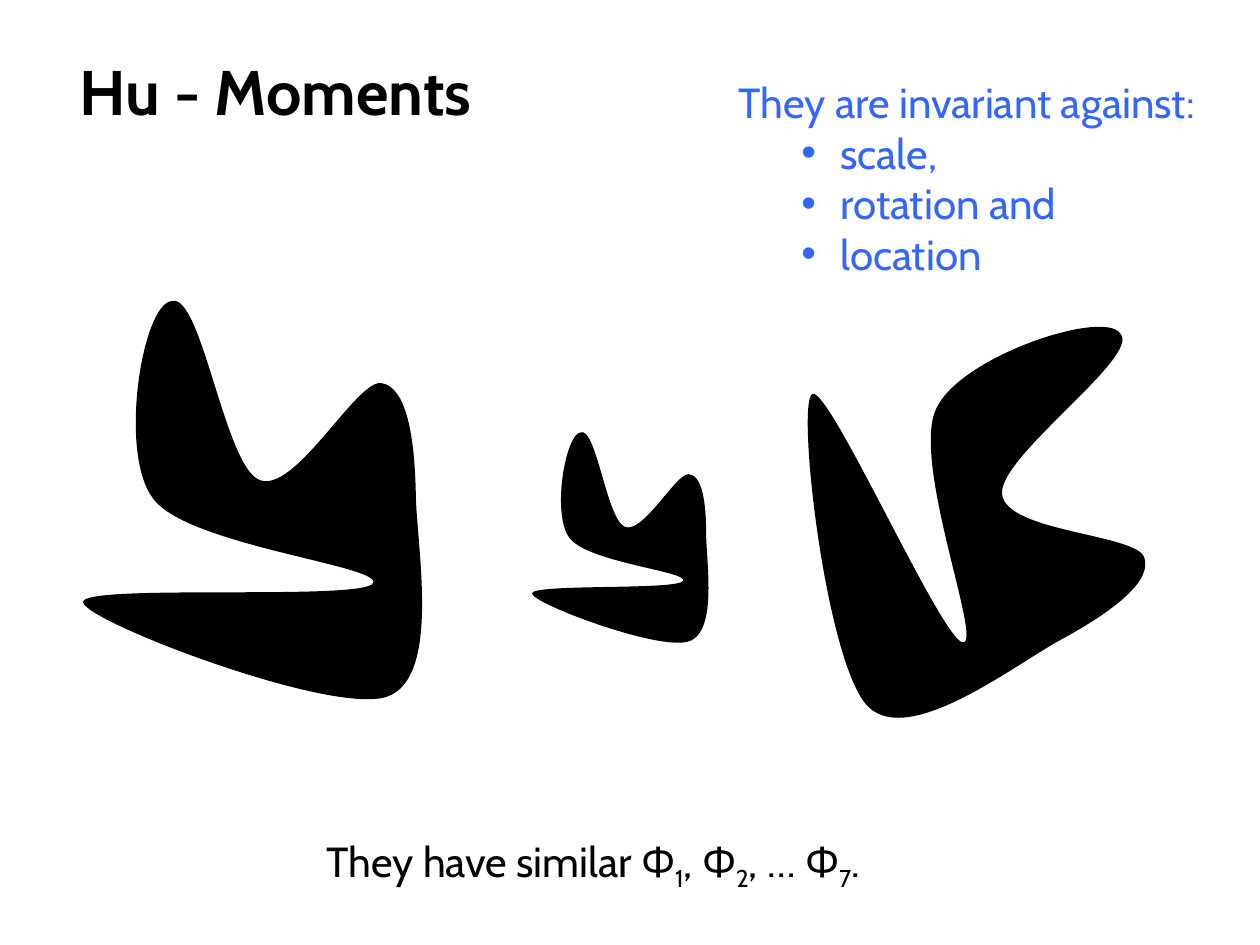
"""Build the Hu moments slide: one outline shown moved, scaled and rotated."""
import math

import lxml.etree
import pptx
import pptx.dml.color
import pptx.enum.shapes
import pptx.enum.text
import pptx.oxml.ns
import pptx.util

PX = 9144
PAGE_SIZE = (1000, 750)
THEME = {
    "font": "Cabin", "title": 36, "text": 24,
    "ink": "000000", "accent": "3366FF", "paper": "FFFFFF",
}

TITLE = [{"spans": ["Hu - Moments"]}]
TITLE_BOX = (53, 36, 344, 71)
INVARIANTS = [{"spans": ["They are invariant against:"]}] + [
    {"spans": [name], "bullet": "•"} for name in ("scale,", "rotation and", "location")
]
INVARIANTS_BOX = (576, 16, 426, 252)
SUMMARY = [{"spans": ["They have similar Φ", ("1",), ", Φ", ("2",), ", … Φ", ("7",), "."]}]
SUMMARY_BOX = (249, 618, 518, 91)
BULLET_INDENT, BULLET_HANG = 81, 31
TEXT_TOP = 45

OUTLINE_START = (206, 381)
OUTLINE_CURVES = [
    ((234, 392), (282, 303), (302, 304)),
    ((323, 306), (329, 348), (330, 390)),
    ((330, 431), (351, 538), (307, 553)),
    ((263, 568), (67, 493), (66, 478)),
    ((64, 463), (287, 477), (296, 463)),
    ((305, 449), (147, 433), (121, 395)),
    ((94, 358), (113, 242), (136, 239)),
    ((160, 231), (178, 370), (206, 381)),
]
BLOBS = [
    {"box": (61, 275, 310, 268), "angle": 27.5},
    {"box": (421, 361, 160, 144), "angle": 27.5},
    {"box": (620, 280, 310, 268), "angle": 90},
]


def place(shape, box):
    shape.left, shape.top, shape.width, shape.height = (length * PX for length in box)


def add_element(parent, tag, **attributes):
    return lxml.etree.SubElement(parent, pptx.oxml.ns.qn(tag), attributes)


def set_bullet(para, mark):
    properties = para._p.get_or_add_pPr()
    if mark:
        para.level = 1
        properties.set("marL", str(BULLET_INDENT * PX))
        properties.set("indent", str(-BULLET_HANG * PX))
        add_element(properties, "a:buChar", char=mark)
    else:
        properties.set("marL", "0")
        properties.set("indent", "0")
        add_element(properties, "a:buNone")


def write(shape, paragraphs, *, size, color, bold=False, top=5,
          anchor=pptx.enum.text.MSO_ANCHOR.TOP):
    frame = shape.text_frame
    frame.word_wrap = True
    frame.auto_size = pptx.enum.text.MSO_AUTO_SIZE.NONE
    frame.vertical_anchor = anchor
    frame.margin_top = top * PX
    for index, content in enumerate(paragraphs):
        para = frame.add_paragraph() if index else frame.paragraphs[0]
        para.alignment = pptx.enum.text.PP_ALIGN.LEFT
        para.space_before = pptx.util.Pt(0)
        set_bullet(para, content.get("bullet"))
        for piece in content["spans"]:
            subscript = isinstance(piece, tuple)
            span = para.add_run()
            span.text = piece[0] if subscript else piece
            span.font.name = THEME["font"]
            span.font.size = pptx.util.Pt(size)
            span.font.bold = bold
            span.font.color.rgb = pptx.dml.color.RGBColor.from_string(color)
            if subscript:
                span.font._element.set("baseline", "-25000")


def paint(shape, color):
    shape.shadow.inherit = False
    shape.fill.solid()
    shape.fill.fore_color.rgb = pptx.dml.color.RGBColor.from_string(color)
    shape.line.fill.background()


def upright(point):
    left, top, width, height = BLOBS[0]["box"]
    x, y = point[0] - left - width / 2, point[1] - top - height / 2
    turn = math.radians(-BLOBS[0]["angle"])
    return (
        round((width / 2 + x * math.cos(turn) - y * math.sin(turn)) * PX),
        round((height / 2 + x * math.sin(turn) + y * math.cos(turn)) * PX),
    )


def add_point(parent, point):
    x, y = point
    add_element(parent, "a:pt", x=str(x), y=str(y))


def add_blob(page, box, angle):
    start = upright(OUTLINE_START)
    curves = [[upright(point) for point in curve] for curve in OUTLINE_CURVES]
    builder = page.shapes.build_freeform(*start)
    builder.add_line_segments([curve[-1] for curve in curves], close=True)
    blob = builder.convert_to_shape()

    outline = next(blob._element.iter(pptx.oxml.ns.qn("a:path")))
    for segment in list(outline):
        outline.remove(segment)
    for side, length in zip("wh", BLOBS[0]["box"][2:]):
        outline.set(side, str(length * PX))
    add_point(add_element(outline, "a:moveTo"), start)
    for curve in curves:
        segment = add_element(outline, "a:cubicBezTo")
        for point in curve:
            add_point(segment, point)
    add_element(outline, "a:close")

    place(blob, box)
    blob.rotation = angle
    paint(blob, THEME["ink"])


def main():
    deck = pptx.Presentation()
    deck.slide_width, deck.slide_height = (length * PX for length in PAGE_SIZE)
    page = deck.slides.add_slide(deck.slide_layouts[1])
    page.background.fill.solid()
    page.background.fill.fore_color.rgb = pptx.dml.color.RGBColor.from_string(THEME["paper"])

    title, invariants = page.placeholders
    place(title, TITLE_BOX)
    write(title, TITLE, size=THEME["title"], color=THEME["ink"], bold=True,
          anchor=pptx.enum.text.MSO_ANCHOR.MIDDLE)
    place(invariants, INVARIANTS_BOX)
    write(invariants, INVARIANTS, size=THEME["text"], color=THEME["accent"], top=TEXT_TOP)

    summary = page.shapes.add_shape(
        pptx.enum.shapes.MSO_SHAPE.RECTANGLE, *(length * PX for length in SUMMARY_BOX))
    paint(summary, THEME["paper"])
    write(summary, SUMMARY, size=THEME["text"], color=THEME["ink"], top=TEXT_TOP)

    for blob in BLOBS:
        add_blob(page, **blob)
    deck.save("out.pptx")


if __name__ == "__main__":
    main()
